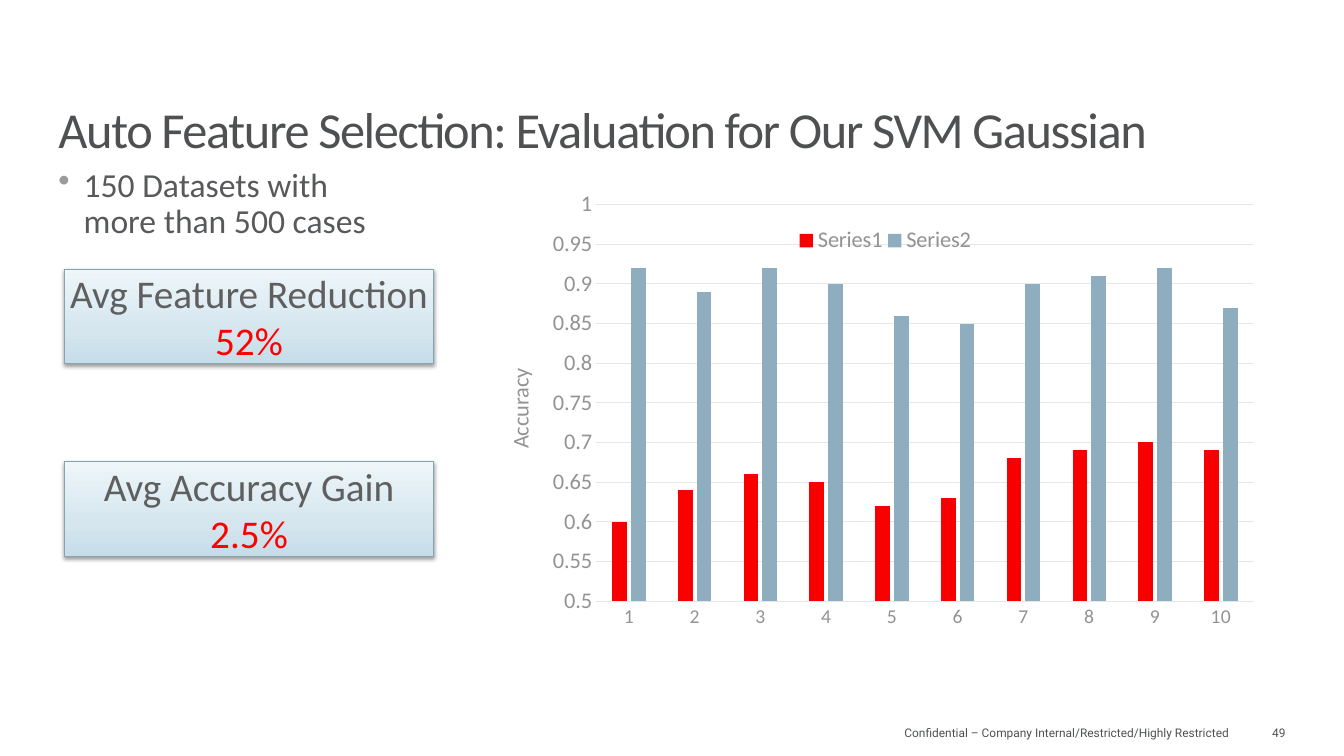
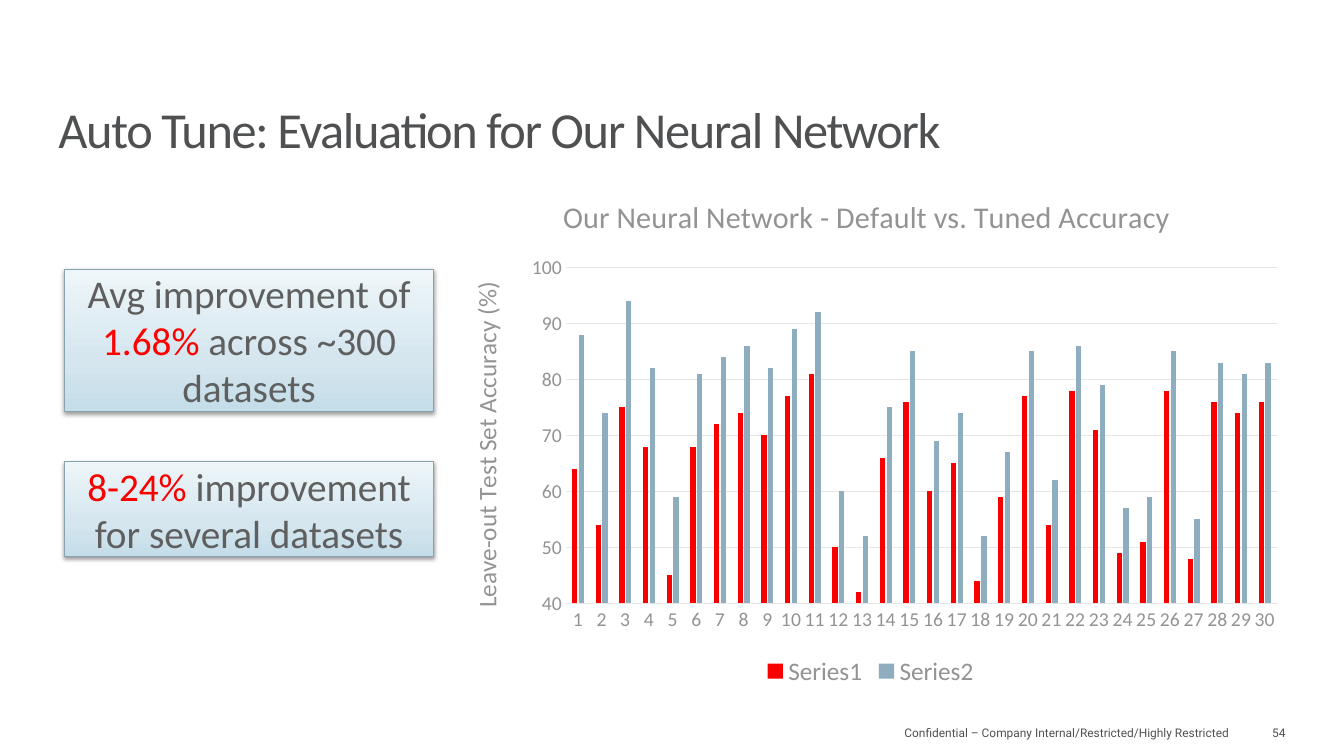
from copy import deepcopy
from dataclasses import dataclass

from pptx import Presentation
from pptx.chart.data import CategoryChartData
from pptx.dml.color import RGBColor
from pptx.enum.chart import XL_CHART_TYPE, XL_LEGEND_POSITION, XL_TICK_MARK
from pptx.enum.shapes import MSO_SHAPE
from pptx.enum.text import MSO_ANCHOR, PP_ALIGN
from pptx.oxml import parse_xml
from pptx.oxml.ns import nsdecls, qn
from pptx.util import Inches, Pt


@dataclass(frozen=True)
class Theme:
    """Colours, fonts and type sizes shared by the slides."""

    font: str = "Calibri"
    footer_font: str = "Roboto"
    title: str = "4E5052"
    body: str = "58595B"
    bullet: str = "9A9B9D"
    callout: str = "5F5F5F"
    callout_line: str = "89A3AE"
    callout_stops: tuple = ((0, "C4DDE9"), (0.35, "D5E6EF"), (1, "EEF6F9"))
    accent: str = "FF0000"
    chart_text: str = "929395"
    grid: str = "E6E6E7"
    series: tuple = ("F80000", "8EADBF")
    title_size: float = 36
    body_size: float = 24
    callout_size: float = 28
    chart_title_size: float = 21.5
    category_size: float = 14
    footer_size: float = 8.5


T = Theme()
FOOTER = "Confidential – Company Internal/Restricted/Highly Restricted"


def rgb(value):
    """Turn a hex string into a colour."""
    return RGBColor.from_string(value)


def style(font, size, color, name=T.font):
    """Set size, colour and typeface of a font."""
    font.size = Pt(size)
    font.color.rgb = rgb(color)
    font.name = name


def clear_insets(tf):
    """Remove the inner margins of a text frame."""
    tf.margin_left = tf.margin_right = tf.margin_top = tf.margin_bottom = 0


def add_text(s, box, text, size, color, name=T.font, anchor=MSO_ANCHOR.TOP,
             align=PP_ALIGN.LEFT, spacing=None):
    """Add a one-paragraph text box and return its paragraph."""
    tf = s.shapes.add_textbox(*map(Inches, box)).text_frame
    tf.word_wrap = True
    tf.vertical_anchor = anchor
    clear_insets(tf)
    p = tf.paragraphs[0]
    p.text = text
    p.alignment = align
    if spacing:
        p.line_spacing = spacing
    for r in p.runs:
        style(r.font, size, color, name)
    return p


def add_slide(prs, title, number):
    """Add a blank slide with its title, footer and page number."""
    s = prs.slides.add_slide(prs.slide_layouts[6])
    p = add_text(s, (0.58, 0.6, 12.17, 0.97), title, T.title_size, T.title,
                 anchor=MSO_ANCHOR.BOTTOM, spacing=0.8)
    for r in p.runs:
        r.font._element.set("spc", "-100")
    for box, text in (((3.29, 7.17, 8.9, 0.2), FOOTER),
                      ((12.33, 7.17, 0.42, 0.2), str(number))):
        add_text(s, box, text, T.footer_size, T.title, T.footer_font,
                 MSO_ANCHOR.MIDDLE, PP_ALIGN.RIGHT)
    return s


def add_bullet(s, box, text):
    """Add a bulleted text box."""
    p = add_text(s, box, text, T.body_size, T.body, spacing=0.9)
    pPr = p._p.get_or_add_pPr()
    pPr.set("marL", str(Inches(0.25)))
    pPr.set("indent", str(-Inches(0.25)))
    pPr.append(parse_xml(f'<a:buClr {nsdecls("a")}><a:srgbClr val="{T.bullet}"/></a:buClr>'))
    pPr.append(parse_xml(f'<a:buChar {nsdecls("a")} char="•"/>'))


def add_callout(s, top, height, lines):
    """Add a gradient box whose lines are lists of text and colour pairs."""
    sp = s.shapes.add_shape(MSO_SHAPE.RECTANGLE, Inches(0.64), Inches(top),
                            Inches(3.66), Inches(height))
    sp.fill.gradient()
    sp.fill.gradient_angle = 90
    stops = sp._element.spPr.find(".//" + qn("a:gsLst"))
    stops.append(deepcopy(stops[0]))
    for stop, (position, color) in zip(sp.fill.gradient_stops, T.callout_stops):
        stop.position = position
        stop.color.rgb = rgb(color)
    sp.line.color.rgb = rgb(T.callout_line)
    sp.line.width = Pt(0.75)
    sp.shadow.inherit = False
    sp._element.spPr.find(qn("a:effectLst")).append(parse_xml(
        f'<a:outerShdw {nsdecls("a")} blurRad="{Pt(3.1)}" dist="{Pt(1.6)}" dir="5400000" '
        'rotWithShape="0"><a:srgbClr val="000000"><a:alpha val="38000"/></a:srgbClr>'
        '</a:outerShdw>'))
    tf = sp.text_frame
    tf.word_wrap = True
    tf.vertical_anchor = MSO_ANCHOR.MIDDLE
    clear_insets(tf)
    for i, line in enumerate(lines):
        p = tf.add_paragraph() if i else tf.paragraphs[0]
        p.alignment = PP_ALIGN.CENTER
        for text, color in line:
            r = p.add_run()
            r.text = text
            style(r.font, T.callout_size, color)


def place(element, x, y, w=None, h=None):
    """Give a chart part a fixed place, as fractions of the chart."""
    for old in element.findall(qn("c:layout")):
        element.remove(old)
    overlay = element.find(qn("c:overlay"))
    target = '<c:layoutTarget val="inner"/>' if overlay is None else ""
    size = f'<c:w val="{w}"/><c:h val="{h}"/>' if w else ""
    layout = parse_xml(
        f'<c:layout {nsdecls("c")}><c:manualLayout>{target}<c:xMode val="edge"/>'
        f'<c:yMode val="edge"/><c:x val="{x}"/><c:y val="{y}"/>{size}'
        '</c:manualLayout></c:layout>')
    if overlay is None:
        element.insert(0, layout)
    else:
        overlay.addprevious(layout)


def set_title(title, text, size, position):
    """Write, style and place a chart or axis title."""
    p = title.text_frame.paragraphs[0]
    p.text = text
    for r in p.runs:
        style(r.font, size, T.chart_text)
        r.font.bold = False
    place(title._element, *position)


def style_axes(chart, scale, value_size):
    """Style both axes and set the value scale."""
    cat, val = chart.category_axis, chart.value_axis
    for axis, size in ((cat, T.category_size), (val, value_size)):
        axis.major_tick_mark = axis.minor_tick_mark = XL_TICK_MARK.NONE
        style(axis.tick_labels.font, size, T.chart_text)
    val.minimum_scale, val.maximum_scale, val.major_unit = scale
    val.tick_labels.number_format = "General"
    val.tick_labels.number_format_is_linked = False
    val.format.line.fill.background()
    val.has_major_gridlines = True
    for line in (cat.format.line, val.major_gridlines.format.line):
        line.color.rgb = rgb(T.grid)
        line.width = Pt(0.75)


def add_columns(s, box, values, scale, size, value_size, axis_title, axis_at, plot_at):
    """Add a clustered column chart with numbered categories."""
    data = CategoryChartData()
    data.categories = [str(i + 1) for i in range(len(values[0]))]
    for i, vals in enumerate(values, 1):
        data.add_series(f"Series{i}", vals)
    chart = s.shapes.add_chart(XL_CHART_TYPE.COLUMN_CLUSTERED,
                               *map(Inches, box), data).chart
    style(chart.font, size, T.body)
    chart.has_title = False
    plot = chart.plots[0]
    plot.gap_width, plot.overlap, plot.vary_by_categories = 219, -27, False
    for series, color in zip(plot.series, T.series):
        series.format.fill.solid()
        series.format.fill.fore_color.rgb = rgb(color)
    style_axes(chart, scale, value_size)
    title = chart.value_axis.axis_title
    set_title(title, axis_title, size, axis_at)
    title.text_frame._txBody.bodyPr.set("rot", "-5400000")
    title.text_frame._txBody.bodyPr.set("vert", "horz")
    chart.has_legend = True
    chart.legend.position = XL_LEGEND_POSITION.BOTTOM
    chart.legend.include_in_layout = False
    style(chart.legend.font, size, T.chart_text)
    place(chart._chartSpace.find(".//" + qn("c:plotArea")), *plot_at)
    return chart


def feature_selection(prs):
    """Build the feature selection slide."""
    s = add_slide(prs, "Auto Feature Selection: Evaluation for Our SVM Gaussian", 49)
    add_bullet(s, (0.58, 1.67, 4.58, 0.83), "150 Datasets with\vmore than 500 cases")
    values = ((0.6, 0.64, 0.66, 0.65, 0.62, 0.63, 0.68, 0.69, 0.7, 0.69),
              (0.92, 0.89, 0.92, 0.9, 0.86, 0.85, 0.9, 0.91, 0.92, 0.87))
    chart = add_columns(s, (4.89, 1.57, 7.86, 5.11), values, (0.5, 1, 0.05), 16, 16,
                        "Accuracy", (0.01, 0.4), (0.13, 0.09, 0.83, 0.77))
    place(chart.legend._element, 0.38, 0.12, 0.23, 0.08)
    for top, label, figure in ((2.67, "Avg Feature Reduction", "52%"),
                               (4.58, "Avg Accuracy Gain", "2.5%")):
        add_callout(s, top, 0.94, [[(label, T.callout)], [(figure, T.accent)]])


def auto_tune(prs):
    """Build the auto tune slide."""
    s = add_slide(prs, "Auto Tune: Evaluation for Our Neural Network", 54)
    values = ((64, 54, 75, 68, 45, 68, 72, 74, 70, 77, 81, 50, 42, 66, 76,
               60, 65, 44, 59, 77, 54, 78, 71, 49, 51, 78, 48, 76, 74, 76),
              (88, 74, 94, 82, 59, 81, 84, 86, 82, 89, 92, 60, 52, 75, 85,
               69, 74, 52, 67, 85, 62, 86, 79, 57, 59, 85, 55, 83, 81, 83))
    chart = add_columns(s, (4.44, 1.73, 8.39, 5.13), values, (40, 100, 10), 18, 14,
                        "Leave-out Test Set Accuracy (%)", (0.02, 0.2),
                        (0.14, 0.18, 0.84, 0.65))
    chart.has_title = True
    set_title(chart.chart_title, "Our Neural Network - Default vs. Tuned Accuracy",
              T.chart_title_size, (0.13, 0.03))
    add_callout(s, 2.67, 1.41, [[("Avg improvement of ", T.callout), ("1.68%", T.accent),
                                 (" across ~300 datasets", T.callout)]])
    add_callout(s, 4.58, 0.94, [[("8-24%", T.series[0]),
                                 (" improvement for several datasets", T.callout)]])


def main():
    """Build and save the presentation."""
    prs = Presentation()
    prs.slide_width, prs.slide_height = Inches(13.33), Inches(7.5)
    feature_selection(prs)
    auto_tune(prs)
    prs.save("out.pptx")


if __name__ == "__main__":
    main()
